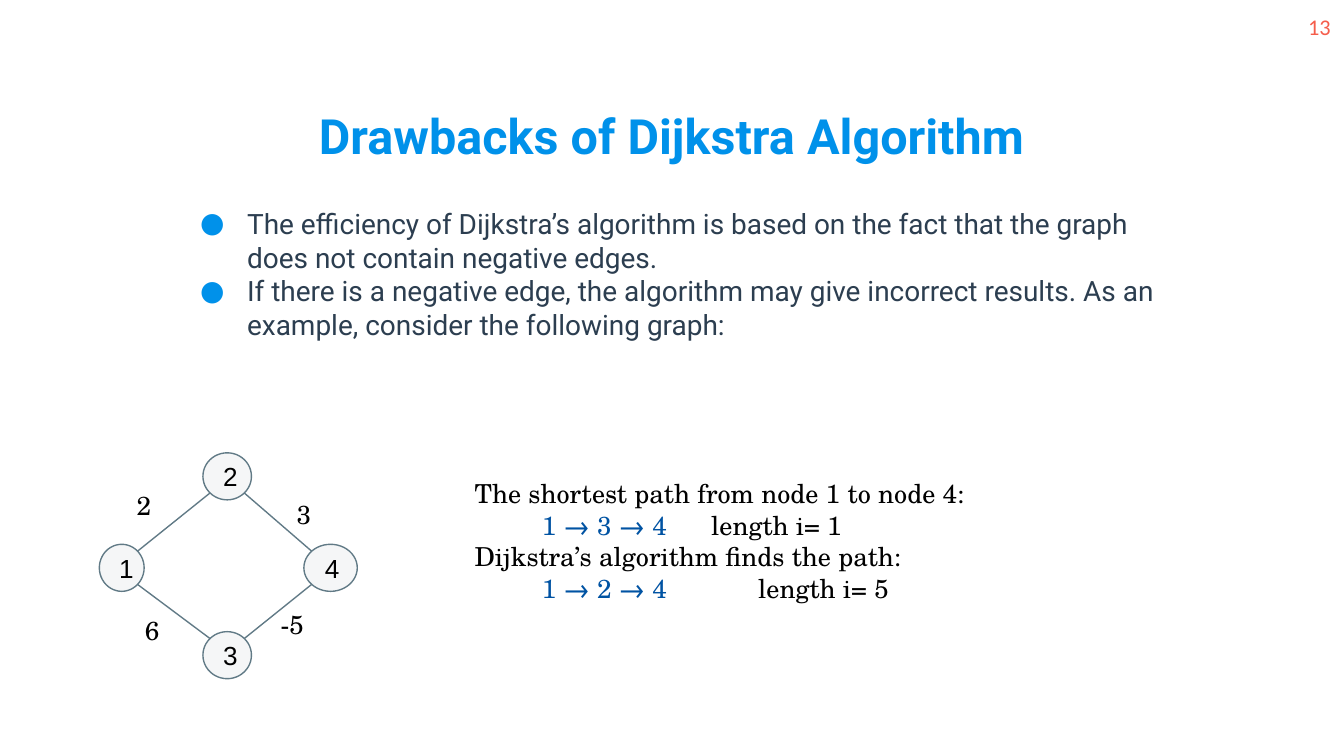
import math

import lxml.etree
import pptx
import pptx.dml.color
import pptx.enum.shapes
import pptx.enum.text
import pptx.oxml.ns
import pptx.util

Pt = pptx.util.Pt
ALIGN = pptx.enum.text.PP_ALIGN
ANCHOR = pptx.enum.text.MSO_ANCHOR

COLORS = {
    "accent": "0091EA",
    "body": "2C3E50",
    "page": "F55D4B",
    "node": "F5F6F7",
    "edge": "617A86",
    "ink": "000000",
    "route": "0053A3",
}
SERIF = "TeX Gyre Schola"
SANS = "Roboto"

TITLE = "Drawbacks of Dijkstra Algorithm"
PAGE = "13"
DRAWBACKS = [
    "The efficiency of Dijkstra’s algorithm is based on the fact that the graph does not contain negative edges.",
    "If there is a negative edge, the algorithm may give incorrect results. As an example, consider the following graph:",
]
NODE_HEIGHT = 25.2
NODES = {
    "2": (121.7, 255.2, 26),
    "1": (65.2, 304.2, 24),
    "4": (177.1, 304.2, 28.6),
    "3": (121.7, 351, 26),
}
EDGES = [("1", "2"), ("2", "4"), ("1", "3"), ("3", "4")]
WEIGHTS = [
    ("2", 66.2, 254.9, 28.8),
    ("3", 151.9, 259.9, 28.8),
    ("6", 70.6, 321.8, 28.8),
    ("-5", 143.3, 319, 49.7),
]
PATHS = [
    ("The shortest path from node 1 to node 4:", "1 → 3 → 4", "length i= 1", 19.7),
    ("Dijkstra’s algorithm finds the path:", "1 → 2 → 4", "length i= 5", 44.9),
]


def rgb(name):
    return pptx.dml.color.RGBColor.from_string(COLORS[name])


def style(paragraph, font, size, color, bold=False):
    for run in paragraph.runs:
        run.font.name = font
        run.font.size = Pt(size)
        run.font.bold = bold
        run.font.color.rgb = rgb(color)


def set_insets(frame):
    frame.word_wrap = True
    frame.margin_left = frame.margin_right = Pt(7.2)
    frame.margin_top = frame.margin_bottom = Pt(7.2)


def add_text(slide, box, text, font, size, color, bold=False, align=ALIGN.LEFT, anchor=ANCHOR.TOP):
    frame = slide.shapes.add_textbox(*map(Pt, box)).text_frame
    set_insets(frame)
    frame.vertical_anchor = anchor
    frame.text = text
    for paragraph in frame.paragraphs:
        paragraph.alignment = align
        style(paragraph, font, size, color, bold)
    return frame


def add_child(parent, tag, **attributes):
    child = lxml.etree.SubElement(parent, pptx.oxml.ns.qn(tag))
    for key, value in attributes.items():
        child.set(key, str(value))
    return child


def indent(paragraph, left, first):
    properties = paragraph._p.get_or_add_pPr()
    properties.set("marL", str(Pt(left)))
    properties.set("indent", str(Pt(first)))
    return properties


def add_bullet(paragraph):
    properties = indent(paragraph, 36, -25.2)
    add_child(add_child(properties, "a:buClr"), "a:srgbClr", val=COLORS["accent"])
    add_child(properties, "a:buFont", typeface=SANS)
    add_child(properties, "a:buChar", char="●")


def fill_path(paragraph, route, length, gap):
    indent(paragraph, 0, 36)
    for part in (route, " ", length):
        paragraph.add_run().text = part
    style(paragraph, SERIF, 14, "ink")
    route_run, gap_run, _ = paragraph.runs
    route_run.font.color.rgb = rgb("route")
    gap_run._r.get_or_add_rPr().set("spc", str(round(gap * 100)))


def add_node(slide, label, x, y, width):
    node = slide.shapes.add_shape(
        pptx.enum.shapes.MSO_SHAPE.OVAL,
        Pt(x - width / 2), Pt(y - NODE_HEIGHT / 2), Pt(width), Pt(NODE_HEIGHT))
    node.shadow.inherit = False
    node.fill.solid()
    node.fill.fore_color.rgb = rgb("node")
    node.line.color.rgb = rgb("edge")
    node.line.width = Pt(0.75)
    frame = node.text_frame
    set_insets(frame)
    frame.vertical_anchor = ANCHOR.MIDDLE
    frame.text = label
    frame.paragraphs[0].alignment = ALIGN.LEFT
    style(frame.paragraphs[0], "Arial", 14, "ink")


def rim_point(label, side, rise):
    x, y, width = NODES[label]
    reach = math.sqrt(0.5) / 2
    return Pt(x + side * width * reach), Pt(y + rise * NODE_HEIGHT * reach)


def add_edge(slide, start, end):
    rise = 1 if NODES[end][1] > NODES[start][1] else -1
    edge = slide.shapes.add_connector(
        pptx.enum.shapes.MSO_CONNECTOR.STRAIGHT,
        *rim_point(start, 1, rise), *rim_point(end, -1, -rise))
    edge.line.color.rgb = rgb("edge")
    edge.line.width = Pt(0.75)
    add_child(edge._element.spPr, "a:effectLst")


def main():
    deck = pptx.Presentation()
    deck.slide_width, deck.slide_height = Pt(720), Pt(405)
    slide = deck.slides.add_slide(deck.slide_layouts[6])

    add_text(slide, (89.3, 49, 541.4, 46), TITLE, SANS, 26, "accent",
             bold=True, align=ALIGN.CENTER, anchor=ANCHOR.BOTTOM)
    drawbacks = add_text(slide, (89.3, 103.5, 541.4, 275.8), "\n".join(DRAWBACKS),
                         SANS, 15, "body")
    drawbacks.paragraphs[0].space_before = Pt(6)
    for paragraph in drawbacks.paragraphs:
        add_bullet(paragraph)
    add_text(slide, (689, 0, 31, 25.2), PAGE, "Calibri", 12, "page", align=ALIGN.RIGHT)

    for label, place in NODES.items():
        add_node(slide, label, *place)
    for start, end in EDGES:
        add_edge(slide, start, end)
    for weight, left, top, width in WEIGHTS:
        add_text(slide, (left, top, width, 31.7), weight, SERIF, 14, "ink")

    headings = "\n\n".join(heading for heading, *_ in PATHS) + "\n"
    paths = add_text(slide, (247.2, 248.8, 393.8, 82.1), headings, SERIF, 14, "ink")
    for paragraph, (_, route, length, gap) in zip(paths.paragraphs[1::2], PATHS):
        fill_path(paragraph, route, length, gap)

    deck.save("out.pptx")


if __name__ == "__main__":
    main()
